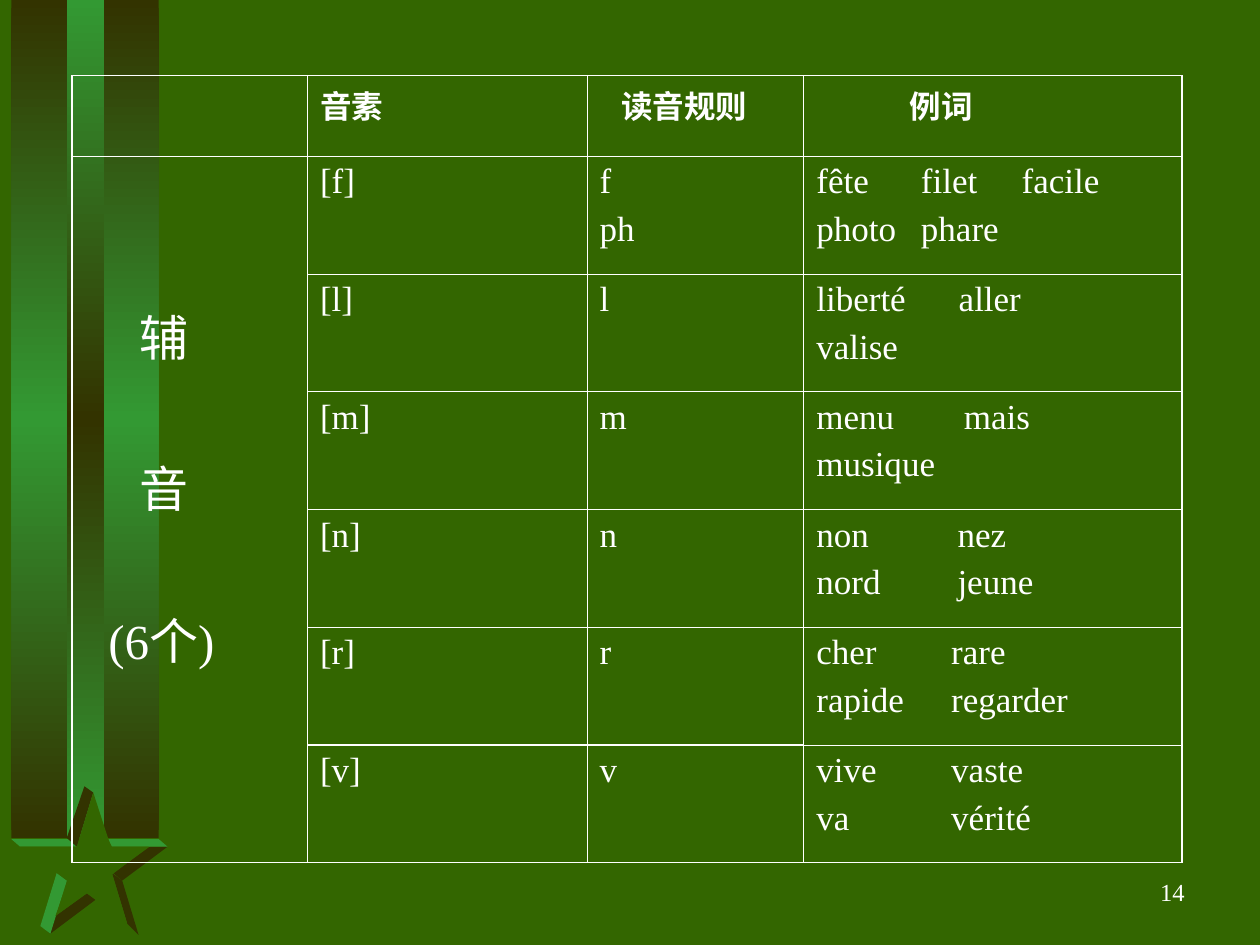
from copy import deepcopy

from lxml import etree
from pptx import Presentation
from pptx.dml.color import RGBColor
from pptx.enum.shapes import MSO_SHAPE
from pptx.enum.text import MSO_ANCHOR, PP_ALIGN
from pptx.oxml.ns import qn
from pptx.util import Inches, Pt

RECTANGLE = MSO_SHAPE.RECTANGLE
MIDDLE = MSO_ANCHOR.MIDDLE
RIGHT = PP_ALIGN.RIGHT
GREEN = RGBColor(0x33, 0x66, 0x00)
LIGHT_GREEN = RGBColor(0x33, 0x99, 0x33)
BROWN = RGBColor(0x33, 0x33, 0x00)
WHITE = RGBColor(0xFF, 0xFF, 0xFF)
FONT = "Times New Roman"
THIN, THICK = 0.45, 1.08


def write(tf, lines, size, bold=False, gap=0, indents=(0,), tabs=()):
    tf.text = "\n".join(lines)
    for i, p in enumerate(tf.paragraphs):
        if i:
            p.space_before = Pt(gap)
        pPr = p._p.get_or_add_pPr()
        indent = indents[min(i, len(indents) - 1)]
        if indent:
            pPr.set("marL", str(Inches(indent)))
            pPr.set("indent", "0")
        if tabs:
            tab_list = etree.SubElement(pPr, qn("a:tabLst"))
            for pos in tabs:
                etree.SubElement(tab_list, qn("a:tab"), pos=str(Inches(pos)), algn="l")
        for r in p.runs:
            r.font.name = FONT
            r.font.size = Pt(size)
            r.font.bold = bold
            r.font.color.rgb = WHITE


def set_borders(cell, widths):
    tcPr = cell._tc.get_or_add_tcPr()
    for side, width in zip("LRTB", widths):
        ln = etree.SubElement(tcPr, qn("a:ln" + side), w=str(Pt(width)))
        fill = etree.SubElement(ln, qn("a:solidFill"))
        etree.SubElement(fill, qn("a:srgbClr"), val=str(WHITE))


prs = Presentation()
prs.slide_width = Inches(10)
prs.slide_height = Inches(7.5)
s = prs.slides.add_slide(prs.slide_layouts[6])
s.background.fill.solid()
s.background.fill.fore_color.rgb = GREEN

for left, width, edge, center in [
    (0.09, 1.17, BROWN, LIGHT_GREEN),
    (0.53, 0.3, LIGHT_GREEN, BROWN),
]:
    sp = s.shapes.add_shape(RECTANGLE, Inches(left), 0, Inches(width), Inches(6.65))
    sp.shadow.inherit = False
    sp.line.fill.background()
    sp.fill.gradient()
    sp.fill.gradient_angle = 270
    stops = sp._element.spPr.find(".//" + qn("a:gsLst"))
    stops.append(deepcopy(stops[0]))
    for stop, pos, color in zip(sp.fill.gradient_stops, (0, 0.5, 1), (edge, center, edge)):
        stop.position = pos
        stop.color.rgb = color

star_parts = [
    (BROWN, [(0.9, 6.93), (0.97, 6.99), (1.33, 6.72), (1.19, 6.72)]),
    (LIGHT_GREEN, [(0.09, 6.66), (0.16, 6.72), (0.62, 6.72), (0.54, 6.66)]),
    (BROWN, [(0.61, 6.72), (0.74, 6.29), (0.67, 6.24), (0.53, 6.65)]),
    (LIGHT_GREEN, [(0.89, 6.72), (0.86, 6.66), (1.26, 6.66), (1.33, 6.72)]),
    (BROWN, [(0.33, 7.35), (0.4, 7.41), (0.76, 7.14), (0.69, 7.09)]),
    (BROWN, [(1.01, 7.33), (1.1, 7.42), (0.97, 6.99), (0.89, 6.93)]),
    (LIGHT_GREEN, [(0.4, 7.41), (0.53, 6.99), (0.45, 6.93), (0.32, 7.35)]),
    (GREEN, [(0.74, 6.29), (0.61, 6.72), (0.16, 6.72), (0.54, 6.99), (0.44, 7.27),
             (0.69, 7.09), (1.01, 7.33), (0.89, 6.94), (1.18, 6.72), (0.88, 6.72)]),
]
for color, points in star_parts:
    start, *rest = [(Inches(x), Inches(y)) for x, y in points]
    builder = s.shapes.build_freeform(*start)
    builder.add_line_segments(rest)
    sp = builder.convert_to_shape()
    sp.shadow.inherit = False
    sp.fill.solid()
    sp.fill.fore_color.rgb = color
    sp.line.fill.background()

headers = [("音素", 0), ("读音规则", 0.17), ("例词", 0.74)]
consonants = [
    ("[f]", ["f", "ph"], ["fête\tfilet\tfacile", "photo\tphare"], (0.83, 1.63)),
    ("[l]", ["l"], ["liberté\taller", "valise"], (1.13,)),
    ("[m]", ["m"], ["menu\tmais", "musique"], (1.17,)),
    ("[n]", ["n"], ["non\tnez", "nord\tjeune"], (1.12,)),
    ("[r]", ["r"], ["cher\trare", "rapide\tregarder"], (1.07,)),
    ("[v]", ["v"], ["vive\tvaste", "va\tvérité"], (1.07,)),
]
col_widths = [1.87, 2.22, 1.72, 3]
header_height, body_height = 0.64, 5.61
n_rows, n_cols = len(consonants) + 1, len(col_widths)
table = s.shapes.add_table(
    n_rows, n_cols, Inches(0.57), Inches(0.6),
    Inches(sum(col_widths)), Inches(header_height + body_height),
).table
table.first_row = False
table.horz_banding = False
for col, width in zip(table.columns, col_widths):
    col.width = Inches(width)
for i, row in enumerate(table.rows):
    row.height = Inches(body_height / len(consonants) if i else header_height)

for i in range(n_rows):
    for j in range(n_cols):
        cell = table.cell(i, j)
        middle_col = j in (1, 2)
        set_borders(cell, [
            THICK if j == 0 else THIN,
            THICK if j == n_cols - 1 else THIN,
            THICK if middle_col and i == n_rows - 1 else THIN,
            THICK if middle_col and i == n_rows - 2 else THIN,
        ])
        cell.fill.background()

for j, (title, indent) in enumerate(headers, 1):
    write(table.cell(0, j).text_frame, [title], 18, bold=True, indents=(indent,))

for i, (sound, spellings, examples, tabs) in enumerate(consonants, 1):
    write(table.cell(i, 1).text_frame, [sound], 20)
    write(table.cell(i, 2).text_frame, spellings, 20, gap=5)
    write(table.cell(i, 3).text_frame, examples, 20, gap=5, tabs=tabs)

group = table.cell(1, 0)
group.merge(table.cell(n_rows - 1, 0))
group.margin_top = Inches(1.14)
write(group.text_frame, ["辅", "音", "(6个)"], 28, gap=46, indents=(0.44, 0.44, 0.19))

sp = s.shapes.add_textbox(Inches(7.42), Inches(6.83), Inches(2.08), Inches(0.5))
tf = sp.text_frame
tf.word_wrap = True
tf.vertical_anchor = MIDDLE
write(tf, ["14"], 14)
tf.paragraphs[0].alignment = RIGHT

prs.save("out.pptx")
